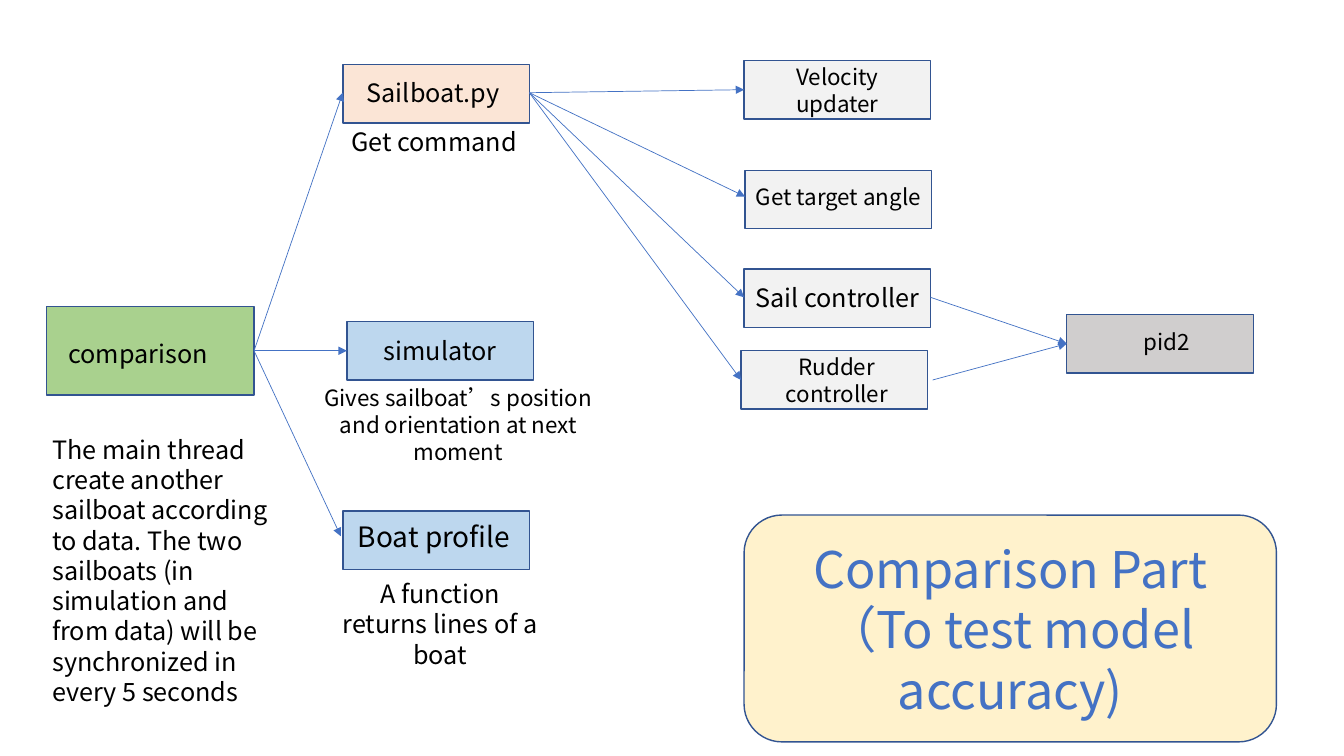
from lxml import etree
from pptx import Presentation
from pptx.dml.color import RGBColor
from pptx.enum.shapes import MSO_CONNECTOR as Connector, MSO_SHAPE as Preset
from pptx.enum.text import MSO_ANCHOR as Anchor, MSO_AUTO_SIZE as AutoSize, PP_ALIGN as Align
from pptx.oxml.ns import qn
from pptx.util import Inches, Pt

FONT = "Noto Sans CJK SC"
BLACK = RGBColor(0x00, 0x00, 0x00)
BLUE = RGBColor(0x44, 0x72, 0xC4)
OUTLINE = RGBColor(0x32, 0x54, 0x91)
GREEN = RGBColor(0xA9, 0xD1, 0x8E)
SKY = RGBColor(0xBD, 0xD7, 0xEE)
PEACH = RGBColor(0xFB, 0xE5, 0xD6)
PALE = RGBColor(0xF2, 0xF2, 0xF2)
GREY = RGBColor(0xD0, 0xCE, 0xCE)
CREAM = RGBColor(0xFF, 0xF2, 0xCC)

# The slide is a grid of square cells, ten to the inch
CELL = Inches(0.1)
NODE = (18.5, 5.8)
LABEL_HEIGHT = {16: 3.7, 18: 4, 20: 4.4}
LEFT, RIGHT = 1, 3

# Name: (left, top, fill, text, size, label left, label top, label width)
NODES = {
    "simulator": (34.4, 31.9, SKY, "simulator", 18, 34.4, 32.8, 18.5),
    "profile": (34, 50.7, SKY, "Boat profile", 20, 33.8, 51, 18.5),
    "sailboat": (34, 6.4, PEACH, "Sailboat.py ", 18, 34, 7.2, 18.5),
    "velocity": (73.8, 6, PALE, "Velocity updater", 16, 73.8, 6, 18.5),
    "rudder": (73.5, 34.8, PALE, "Rudder controller", 16, 73.5, 34.8, 19),
    "angle": (73.9, 16.9, PALE, "Get target angle", 16, 73.9, 17.65, 18.5),
    "sail": (73.8, 26.7, PALE, "Sail controller", 18, 73.8, 27.5, 18.5),
}
TWO_LINED = ("velocity", "rudder")

# Text, size, alignment, left, top, width, height
NOTES = [
    ("Get command", 18, Align.CENTER, 33.8, 12, 18.5, 4),
    ("Gives sailboat’s position and orientation at next moment", 16,
     Align.CENTER, 30.6, 37.6, 29.7, 6.4),
    ("A function returns lines of a boat", 18, Align.CENTER, 32.3, 56.9, 22.7, 7.1),
    ("The main thread create another sailboat according to data. The two sailboats "
     "(in simulation and from data) will be synchronized in every 5 seconds", 18,
     Align.LEFT, 4.2, 42.6, 23.9, 28.3),
]

ARROWS = [
    ("comparison", "sailboat"), ("comparison", "simulator"), ("comparison", "profile"),
    ("sailboat", "velocity"), ("sailboat", "angle"), ("sailboat", "rudder"),
    ("sailboat", "sail"), ("sail", "pid2"), ("rudder", "pid2"),
]


def cells(*lengths):
    return [round(length * CELL) for length in lengths]


def write(shape, text, size, align=Align.CENTER, color=BLACK):
    shape.text_frame.word_wrap = True
    para = shape.text_frame.paragraphs[0]
    para.alignment = align
    span = para.add_run()
    span.text = text
    for name, value in {"name": FONT, "size": Pt(size)}.items():
        setattr(span.font, name, value)
    span.font.color.rgb = color
    # East Asian punctuation uses the same face
    etree.SubElement(span.font._element, qn("a:ea"), typeface=FONT)


def add_box(page, fill, left, top, width, height, preset=Preset.RECTANGLE):
    box = page.shapes.add_shape(preset, *cells(left, top, width, height))
    box.shadow.inherit = False
    box.fill.solid()
    box.fill.fore_color.rgb = fill
    box.line.color.rgb = OUTLINE
    box.line.width = Pt(1)
    return box


def add_label(page, text, size, align, *place):
    label = page.shapes.add_textbox(*cells(*place))
    write(label, text, size, align)
    label.text_frame.auto_size = AutoSize.SHAPE_TO_FIT_TEXT
    return label


def fill_node(label):
    """Give a two-line label the full height of its node."""
    label.height = cells(NODE[1])[0]
    layout = {"auto_size": AutoSize.NONE, "vertical_anchor": Anchor.MIDDLE,
              "margin_top": 0, "margin_bottom": 0}
    for name, value in layout.items():
        setattr(label.text_frame, name, value)


def add_node(page, left, top, fill, text, size, label_left, label_top, label_width):
    add_box(page, fill, left, top, *NODE)
    return add_label(page, text, size, Align.CENTER,
                     label_left, label_top, label_width, LABEL_HEIGHT[size])


def add_arrow(page, start, end):
    arrow = page.shapes.add_connector(Connector.STRAIGHT, 0, 0, 0, 0)
    arrow.begin_connect(start, RIGHT)
    arrow.end_connect(end, LEFT)
    arrow.line.color.rgb = BLUE
    arrow.line.width = Pt(0.5)
    etree.SubElement(arrow.line._get_or_add_ln(), qn("a:tailEnd"), type="triangle")
    etree.SubElement(arrow._element.spPr, qn("a:effectLst"))


def main():
    deck = Presentation()
    deck.slide_width, deck.slide_height = Inches(13.33), Inches(7.5)
    page = deck.slides.add_slide(deck.slide_layouts[6])

    # Nodes: arrows join the labels, or the box at either end of the flow
    joints = {"comparison": add_box(page, GREEN, 4.6, 30.4, 20.6, 8.8)}
    add_label(page, "comparison", 18, Align.LEFT, 5.8, 33.1, 18.5, 4)
    for name, node in NODES.items():
        joints[name] = add_node(page, *node)
    for name in TWO_LINED:
        fill_node(joints[name])
    joints["pid2"] = add_box(page, GREY, 105.8, 31.2, *NODE)
    add_label(page, "pid2", 16, Align.CENTER, 107.3, 32.1, 16.9, 3.7)

    # Explanations
    for note in NOTES:
        add_label(page, *note)

    # Flow
    for start, end in ARROWS:
        add_arrow(page, joints[start], joints[end])

    # Title
    title = add_box(page, CREAM, 73.8, 51.1, 52.8, 22.5, Preset.ROUNDED_RECTANGLE)
    write(title, "Comparison Part（To test model accuracy)", 36, color=BLUE)
    title.text_frame.vertical_anchor = Anchor.MIDDLE

    deck.save("out.pptx")


if __name__ == "__main__":
    main()
